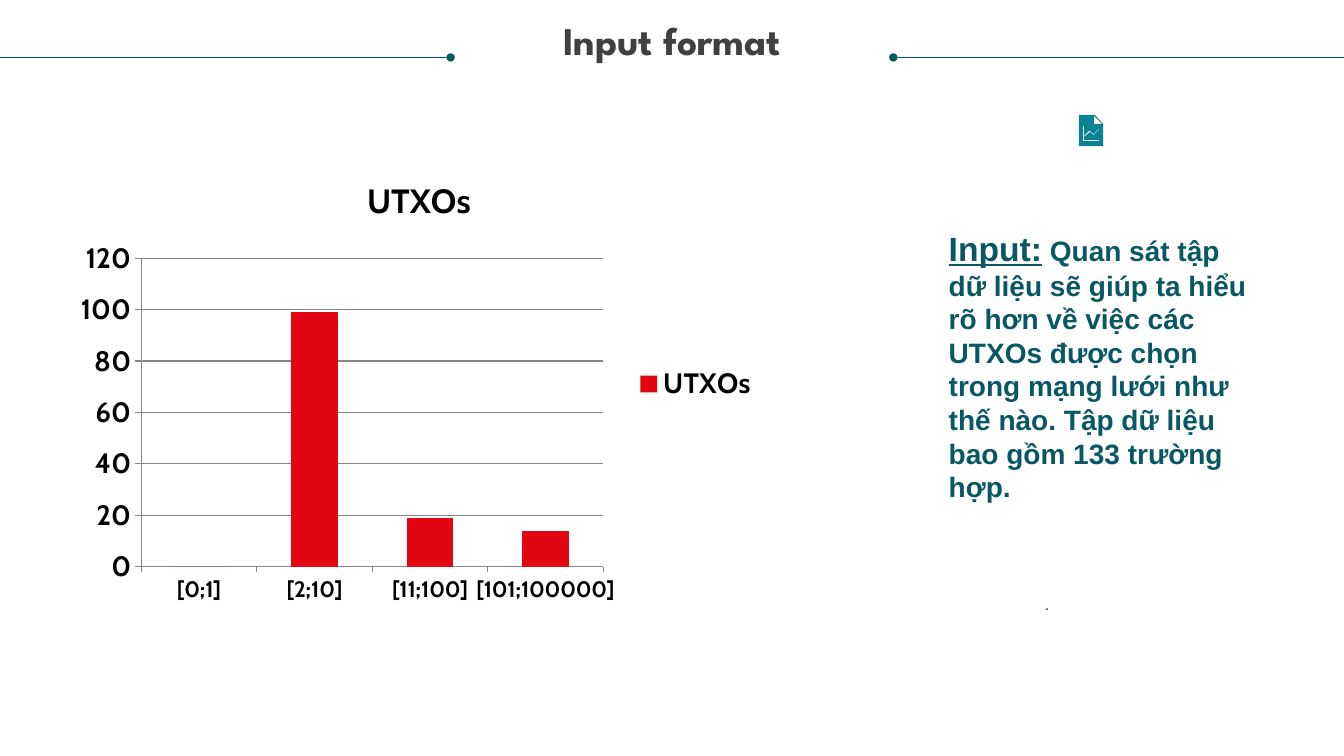
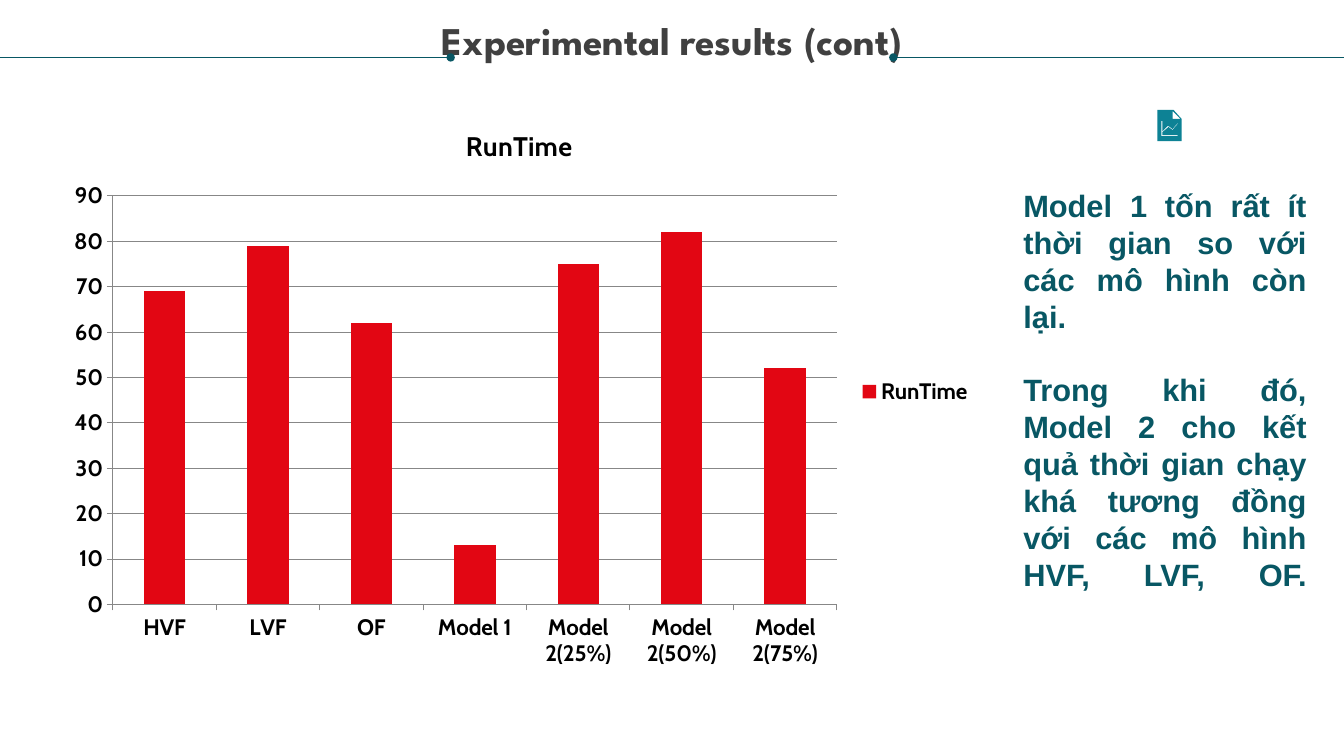
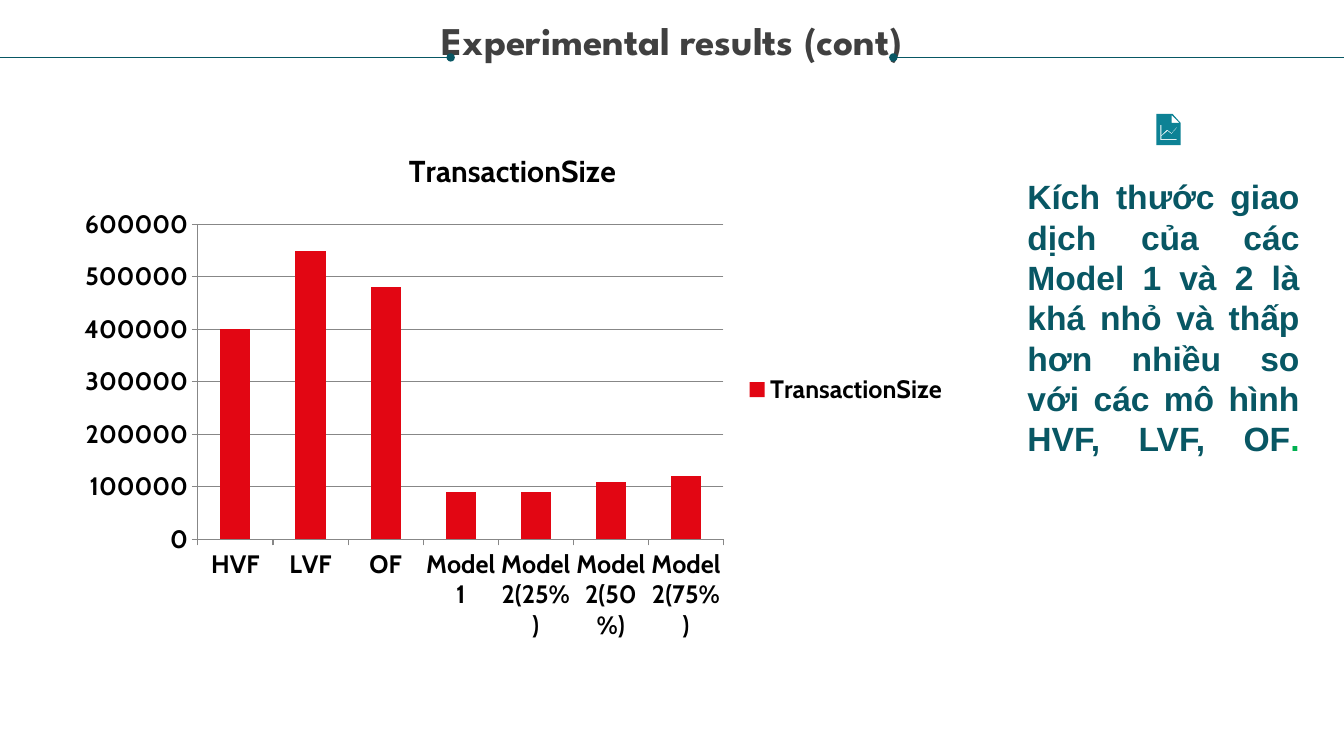
from lxml import etree
from pptx import Presentation
from pptx import util as u
from pptx.chart import data as chart_data
from pptx.dml.color import RGBColor
from pptx.enum import chart as charts, shapes, text
from pptx.oxml import ns

PX = 9144
DARK, TEAL, ICON, RED = "404040", "085764", "0D8295", "E20613"
GREEN, BLACK, GRID = "00B050", "000000", "878787"
MODELS = ["HVF", "LVF", "OF", "Model 1", "Model 2(25%)", "Model 2(50%)", "Model 2(75%)"]
ICON_SHEET = [(0, 0), (16, 0), (24, 9), (24, 31), (0, 31)]
ICON_FOLD = [(15, 1), (15, 9), (23, 9)]
ICON_GRAPH = [(4, 11), (5, 11), (5, 21), (10, 16), (11, 16), (15, 19), (20, 13), (20, 14),
              (15, 20), (11, 17), (5, 22), (5, 25), (20, 25), (20, 26), (4, 26)]


def px(*lengths):
    """Turn px lengths into EMU."""
    return [u.Emu(length * PX) for length in lengths]


def color(value):
    """Turn a hex string into a colour."""
    return RGBColor.from_string(value)


def style(font, size, fill, name="Arial", bold=True):
    """Format a font."""
    font.name, font.size, font.bold = name, u.Pt(size), bold
    font.color.rgb = color(fill)


def clear_frame(frame):
    """Make a text frame wrap, start at its top and have no insets."""
    frame.word_wrap = True
    frame.auto_size = text.MSO_AUTO_SIZE.NONE
    frame.vertical_anchor = text.MSO_ANCHOR.TOP
    frame.margin_left = frame.margin_top = frame.margin_right = frame.margin_bottom = 0


def add_rule(page, dot, edge, top=57):
    """Draw a thin rule from its dot to the edge of the page."""
    rule = page.shapes.add_connector(shapes.MSO_CONNECTOR.STRAIGHT, *px(dot, top, edge, top))
    rule.line.color.rgb = color(TEAL)
    rule.line.width = u.Pt(0.5)
    etree.SubElement(rule.line._get_or_add_ln(), ns.qn("a:headEnd"), type="oval")
    etree.SubElement(rule._element.spPr, ns.qn("a:effectLst"))


def add_page(deck, heading):
    """Add a page with its title between two rules."""
    page = deck.slides.add_slide(deck.slide_layouts[5])
    title = page.shapes.title
    title.left, title.top, title.width, title.height = px(25, 21, 1283, 73)
    title.text_frame.text = heading
    clear_frame(title.text_frame)
    para = title.text_frame.paragraphs[0]
    para.alignment = text.PP_ALIGN.CENTER
    para.line_spacing = 0.9
    style(para.runs[0].font, 28, DARK, "League Spartan")
    add_rule(page, 886, 1333)
    add_rule(page, 447, 0)
    return page


def add_note(page, box, paras, align=text.PP_ALIGN.LEFT, gap=0):
    """Write paragraphs, each a list of (wording, size, colour) spans."""
    frame = page.shapes.add_textbox(*px(*box)).text_frame
    clear_frame(frame)
    for index, spans in enumerate(paras):
        para = frame.add_paragraph() if index else frame.paragraphs[0]
        para.alignment = align
        para.space_before = u.Pt(gap if index else 0)
        for wording, size, fill in spans:
            if wording == "\v":
                para.add_line_break()
                continue
            span = para.add_run()
            span.text = wording
            style(span.font, size, fill)
    return frame


def add_icon(page, left, top):
    """Draw a sheet with a folded corner and a line graph cut out."""
    builder = page.shapes.build_freeform(*ICON_SHEET[0], scale=PX)
    builder.add_line_segments(ICON_SHEET[1:])
    for hole in (ICON_FOLD, ICON_GRAPH):
        builder.move_to(*hole[0])
        builder.add_line_segments(hole[1:])
    icon = builder.convert_to_shape(*px(left, top))
    icon.shadow.inherit = False
    icon.fill.solid()
    icon.fill.fore_color.rgb = color(ICON)
    icon.line.fill.background()


def add_columns(page, box, name, categories, values, size, label_size=None):
    """Add a column chart of one series with its title and legend."""
    figures = chart_data.CategoryChartData(number_format="General")
    figures.categories = categories
    figures.add_series(name, values)
    kind = charts.XL_CHART_TYPE.COLUMN_CLUSTERED
    chart = page.shapes.add_chart(kind, *px(*box), figures).chart
    style(chart.font, size, BLACK, "Cabin")
    chart.has_title = True
    chart.chart_title.text_frame.text = name
    span = chart.chart_title.text_frame.paragraphs[0].runs[0]
    style(span.font, round(size * 1.2, 1), BLACK, "Cabin")
    chart.has_legend = True
    chart.legend.position = charts.XL_LEGEND_POSITION.RIGHT
    chart.legend.include_in_layout = False
    plot = chart.plots[0]
    plot.gap_width = 150
    plot.vary_by_categories = False
    columns = plot.series[0]
    columns.format.fill.solid()
    columns.format.fill.fore_color.rgb = color(RED)
    for axis in (chart.category_axis, chart.value_axis):
        axis.major_tick_mark = charts.XL_TICK_MARK.OUTSIDE
        axis.format.line.color.rgb = color(GRID)
    chart.value_axis.has_major_gridlines = True
    chart.value_axis.major_gridlines.format.line.color.rgb = color(GRID)
    style(chart.category_axis.tick_labels.font, label_size or size, BLACK, "Cabin")


def input_page(deck):
    """Build the page on the input data."""
    page = add_page(deck, "Input format")
    wording = (" Quan sát tập dữ liệu sẽ giúp ta hiểu rõ hơn về việc các UTXOs được chọn "
               "trong mạng lưới như thế nào. Tập dữ liệu bao gồm 133 trường hợp.")
    note = add_note(page, (941, 226, 307, 370), [[("Input:", 24, TEAL), (wording, 20, TEAL)]])
    note.paragraphs[0].runs[0].font.underline = True
    dot = add_note(page, (805, 583, 467, 24), [[(".", 14, DARK)]], text.PP_ALIGN.CENTER)
    dot.paragraphs[0].line_spacing = u.Pt(19)
    style(dot.paragraphs[0].runs[0].font, 14, DARK, "Cabin", False)
    add_icon(page, 1070, 114)
    add_columns(page, (69, 155, 693, 452), "UTXOs",
                ["[0;1]", "[2;10]", "[11;100]", "[101;100000]"], [0, 99, 19, 14], 20, 16)


def result_page(deck, name, values, chart_box, size, note_box, paras, icon_at):
    """Build a page that compares the models by one measure."""
    page = add_page(deck, "Experimental results (cont)")
    add_note(page, note_box, paras, text.PP_ALIGN.JUSTIFY, gap=26)
    add_icon(page, *icon_at)
    add_columns(page, chart_box, name, MODELS, values, size)


def main():
    """Build and save the deck."""
    deck = Presentation()
    deck.slide_width, deck.slide_height = u.Inches(13.33), u.Inches(7.5)
    input_page(deck)
    end = ("\v", 0, TEAL)
    result_page(
        deck, "RunTime", [69, 79, 62, 13, 75, 82, 52], (55, 104, 920, 569), 16,
        (1015, 185, 281, 444),
        [[("Model 1 tốn rất ít thời gian so với các mô hình còn lại.", 22, TEAL)],
         [("Trong khi đó, Model 2 cho kết quả thời gian chạy khá tương đồng với các mô hình "
           "HVF, LVF, OF.", 22, TEAL), end]],
        (1148, 109))
    result_page(
        deck, "TransactionSize", [400000, 550000, 480000, 90000, 90000, 110000, 120000],
        (66, 127, 885, 519), 18, (1019, 175, 270, 330),
        [[("Kích thước giao dịch của các Model 1 và 2 là khá nhỏ và thấp hơn nhiều so với "
           "các mô hình HVF, LVF, OF", 24, TEAL), (".", 24, GREEN), end]],
        (1147, 113))
    deck.save("out.pptx")


if __name__ == "__main__":
    main()
